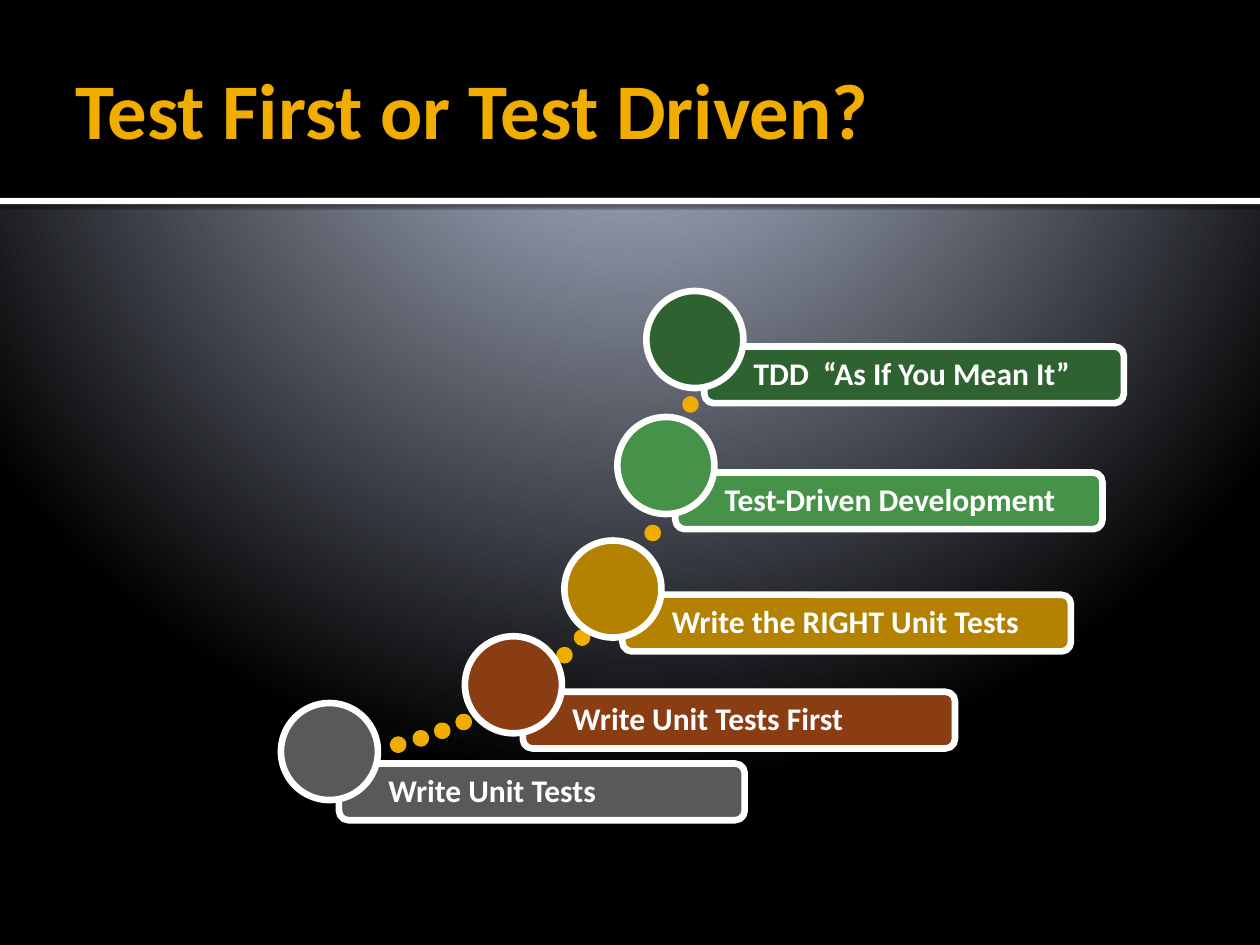
from lxml.etree import SubElement
from pptx import Presentation
from pptx.dml.color import RGBColor
from pptx.enum.shapes import MSO_SHAPE
from pptx.enum.text import MSO_ANCHOR, PP_ALIGN
from pptx.oxml import parse_xml
from pptx.oxml.ns import nsdecls, qn
from pptx.util import Inches, Pt

COLORS = {
    "white": "FFFFFF",
    "black": "000000",
    "gold": "F0AD00",
    "gray": "595959",
    "rust": "8A3C12",
    "ochre": "B48200",
    "green": "479249",
    "forest": "2F6231",
}
GLOW_STOPS = [(0, "A6A6A6"), (12, "9D9DA2"), (20, "98A0B2"), (100, "000000")]
LINE_WIDTH = 3.78
DOT_SIZE = 0.08
CIRCLE_SIZE = 0.77
BAR_HEIGHT = 0.45


def add_shape(kind, left, top, width, height, fill, line=None):
    shape = page.shapes.add_shape(
        kind, Inches(left), Inches(top), Inches(width), Inches(height)
    )
    shape.shadow.inherit = False
    shape.fill.solid()
    shape.fill.fore_color.rgb = RGBColor.from_string(COLORS[fill])
    if line:
        shape.line.color.rgb = RGBColor.from_string(COLORS[line])
        shape.line.width = Pt(LINE_WIDTH)
    else:
        shape.line.fill.background()
    return shape


def write_text(shape, text, size, color, left_inset):
    frame = shape.text_frame
    frame.word_wrap = True
    frame.vertical_anchor = MSO_ANCHOR.MIDDLE
    frame.margin_left = Inches(left_inset)
    frame.margin_right = frame.margin_top = frame.margin_bottom = Inches(0.05)
    para = frame.paragraphs[0]
    para.alignment = PP_ALIGN.LEFT
    span = para.add_run()
    span.text = text
    span.font.name = "Calibri"
    span.font.size = Pt(size)
    span.font.bold = True
    span.font.color.rgb = RGBColor.from_string(COLORS[color])
    return para


deck = Presentation()
deck.slide_width = Inches(10)
deck.slide_height = Inches(7.5)
page = deck.slides.add_slide(deck.slide_layouts[6])

stops = "".join(
    f'<a:gs pos="{position * 1000}"><a:srgbClr val="{color}"/></a:gs>'
    for position, color in GLOW_STOPS
)
background = parse_xml(
    f'<p:bg {nsdecls("p", "a")}><p:bgPr><a:gradFill rotWithShape="1">'
    f'<a:gsLst>{stops}</a:gsLst><a:path path="circle">'
    '<a:fillToRect l="10000" t="-25000" r="10000" b="125000"/></a:path>'
    "</a:gradFill><a:effectLst/></p:bgPr></p:bg>"
)
page.shapes._spTree.getparent().insert(0, background)

rule = add_shape(MSO_SHAPE.RECTANGLE, 0, 1.57, 10, 0.05, "white")
effects = rule._element.spPr.find(qn("a:effectLst"))
shadow = SubElement(
    effects, qn("a:outerShdw"),
    blurRad=str(Pt(2.5)), dist=str(Pt(0.8)), dir="5400000", rotWithShape="0",
)
shadow_color = SubElement(shadow, qn("a:srgbClr"), val=COLORS["black"])
SubElement(shadow_color, qn("a:alpha"), val="60000")

add_shape(MSO_SHAPE.RECTANGLE, 0, 0, 10, 1.57, "black")
title = page.shapes.add_textbox(Inches(0.5), Inches(0.17), Inches(9), Inches(1.37))
write_text(title, "Test First or Test Driven?", 45, "gold", 0.1)

dots = [
    (3.64, 5.69), (3.47, 5.76), (3.3, 5.82), (3.12, 5.87),
    (4.58, 5.02), (4.44, 5.16), (5.14, 4.19), (5.44, 3.17),
]
for left, top in dots:
    add_shape(MSO_SHAPE.OVAL, left, top, DOT_SIZE, DOT_SIZE, "gold", "gold")

steps = [
    ("Write Unit Tests", "gray", 2.23, 5.58, 6.06, 3.22),
    ("Write Unit Tests First", "rust", 3.69, 5.05, 5.49, 3.43),
    ("Write the RIGHT Unit Tests", "ochre", 4.48, 4.29, 4.72, 3.56),
    ("Test-Driven Development", "green", 4.9, 3.31, 3.75, 3.39),
    ("TDD  “As If You Mean It”", "forest", 5.13, 2.31, 2.75, 3.33),
]
for text, color, left, circle_top, bar_top, bar_width in steps:
    bar = add_shape(
        MSO_SHAPE.ROUNDED_RECTANGLE, left + 0.46, bar_top, bar_width, BAR_HEIGHT,
        color, "white",
    )
    para = write_text(bar, text, 18, "white", 0.37)
    para.line_spacing = 0.9
    add_shape(
        MSO_SHAPE.OVAL, left, circle_top, CIRCLE_SIZE, CIRCLE_SIZE, color, "white"
    )

deck.save("out.pptx")
